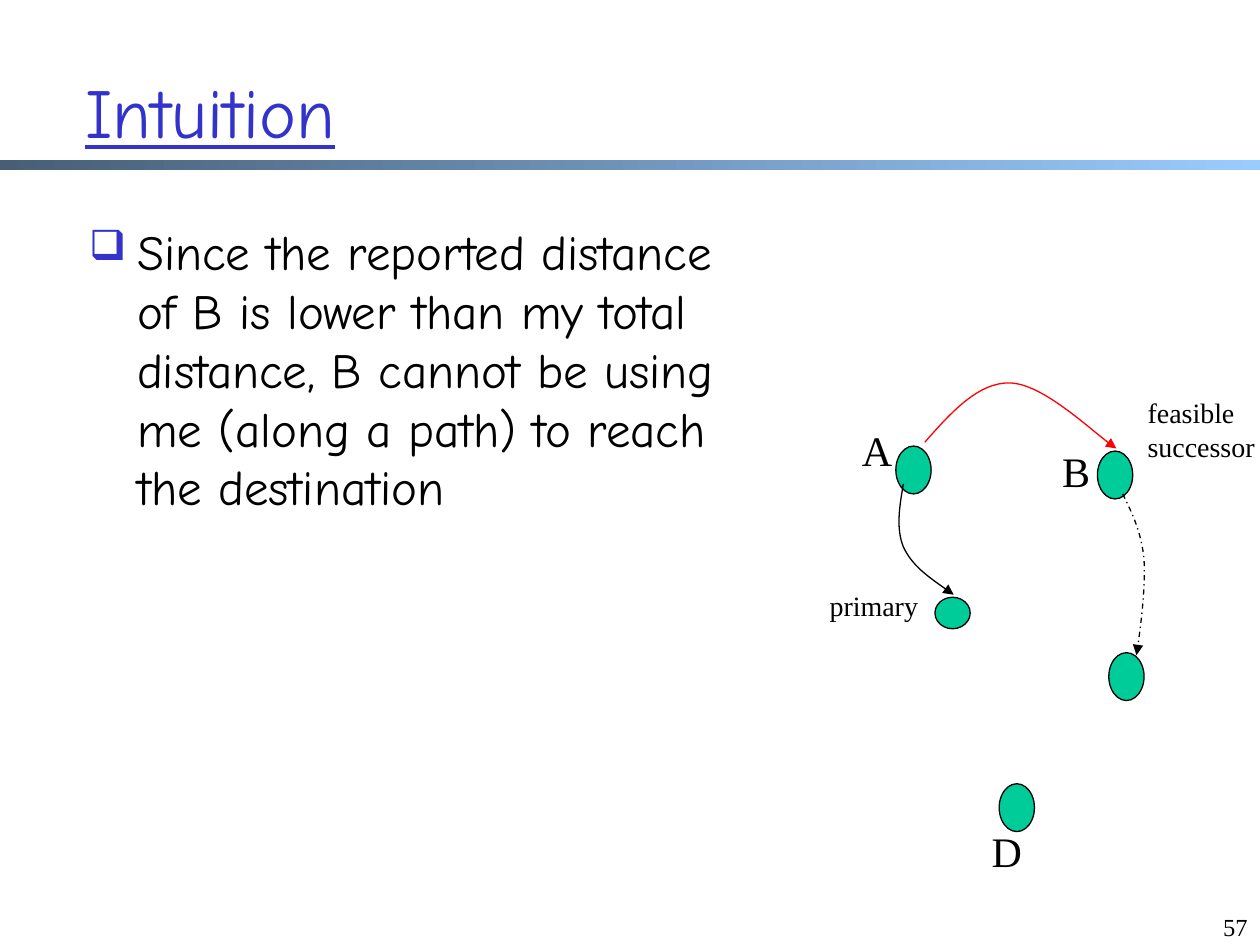
from pptx import Presentation
from pptx.dml.color import RGBColor
from pptx.enum.dml import MSO_LINE
from pptx.enum.shapes import MSO_SHAPE
from pptx.enum.text import MSO_ANCHOR, PP_ALIGN
from pptx.oxml.ns import qn
from pptx.util import Emu, Pt
from lxml import etree

PX = 9144
RECTANGLE, OVAL = MSO_SHAPE.RECTANGLE, MSO_SHAPE.OVAL
TOP, MIDDLE = MSO_ANCHOR.TOP, MSO_ANCHOR.MIDDLE
LEFT, CENTER, RIGHT = PP_ALIGN.LEFT, PP_ALIGN.CENTER, PP_ALIGN.RIGHT
DASH_DOT = MSO_LINE.DASH_DOT
HEADING_FONT, LABEL_FONT = "Comic Neue", "Times New Roman"
BLACK, BLUE, RED, GREEN = "000000", "3333CC", "FF0000", "00CC99"


def px(length):
    return Emu(length * PX)


def color(value):
    return RGBColor.from_string(value)


def add_element(parent, tag, **attributes):
    return etree.SubElement(parent, qn(tag), attributes)


def add_text(slide, box, text, size, font=LABEL_FONT, ink=BLACK,
             align=LEFT, anchor=TOP, bullet=None):
    shape = slide.shapes.add_textbox(*map(px, box))
    frame = shape.text_frame
    frame.word_wrap = True
    frame.vertical_anchor = anchor
    paragraph = frame.paragraphs[0]
    paragraph.text = text
    paragraph.alignment = align
    if bullet:
        add_bullet(paragraph, bullet)
    paragraph.font.size = Pt(size)
    paragraph.font.name = font
    paragraph.font.color.rgb = color(ink)
    return paragraph


def add_bullet(paragraph, character):
    properties = paragraph._p.get_or_add_pPr()
    indent = px(38)
    properties.set("marL", str(indent))
    properties.set("indent", str(-indent))
    add_element(add_element(properties, "a:buClr"), "a:srgbClr", val=BLUE)
    add_element(properties, "a:buSzPct", val="85000")
    add_element(properties, "a:buChar", char=character)


def add_node(slide, left, top, width=28, height=38):
    shape = slide.shapes.add_shape(OVAL, *map(px, (left, top, width, height)))
    shape.shadow.inherit = False
    shape.fill.solid()
    shape.fill.fore_color.rgb = color(GREEN)
    shape.line.color.rgb = color(BLACK)
    shape.line.width = Pt(0.75)


def add_curved_arrow(slide, left, top, points, ink=BLACK, dash=None):
    corners = [(left + x, top + y) for x, y in points]
    builder = slide.shapes.build_freeform(*corners[0], scale=PX)
    builder.add_line_segments(corners[1:], close=False)
    shape = builder.convert_to_shape()
    outline = next(shape._element.iter(qn("a:path")))
    segments = outline.findall(qn("a:lnTo"))
    for start in range(0, len(segments), 3):
        curve = add_element(outline, "a:cubicBezTo")
        for segment in segments[start:start + 3]:
            curve.append(segment[0])
            outline.remove(segment)
    shape.shadow.inherit = False
    shape.fill.background()
    shape.line.color.rgb = color(ink)
    shape.line.width = Pt(0.75)
    if dash:
        shape.line.dash_style = dash
    add_element(shape.line._get_or_add_ln(), "a:tailEnd", type="triangle")


def add_header(slide, left, top, width):
    rule = slide.shapes.add_shape(
        RECTANGLE, *map(px, (left, top + 102, width, 8)))
    rule.shadow.inherit = False
    rule.line.fill.background()
    rule.fill.gradient()
    rule.fill.gradient_angle = 0
    for stop, shade in zip(rule.fill.gradient_stops, ("475E76", "99CCFF")):
        stop.color.rgb = color(shade)
    title = add_text(slide, (left + 58, top, 878, 125), "Intuition", 40,
                     HEADING_FONT, BLUE, anchor=MIDDLE)
    title.font.underline = True


def add_body(slide, box):
    add_text(slide, box,
             "Since the reported distance of B is lower than my total distance, "
             "B cannot be using me (along a path) to reach the destination",
             28, HEADING_FONT, bullet="❑")


def add_route_diagram(slide, left, top):
    add_curved_arrow(slide, left + 100, top, [
        (0, 48), (21, 24), (43, 0), (68, 1), (93, 2), (138, 44), (152, 53)],
        RED)
    for x, y in ((77, 51), (237, 55), (246, 215), (159, 319)):
        add_node(slide, left + x, top + y)
    add_node(slide, left + 108, top + 171, height=25)
    add_curved_arrow(slide, left + 257, top + 89, [
        (0, 0), (8, 16), (15, 31), (17, 52), (18, 73), (15, 101), (11, 128)],
        dash=DASH_DOT)
    add_curved_arrow(slide, left + 77, top + 81, [
        (6, 0), (3, 18), (0, 35), (6, 50), (13, 65), (29, 76), (46, 88)])
    for name, x, y in (("A", 40, 29), ("B", 198, 46), ("D", 143, 347)):
        add_text(slide, (left + x, top + y, 44, 50), name, 24, align=CENTER)
    add_text(slide, (left + 267, top + 6, 119, 97), "feasible successor", 16)
    add_text(slide, (left, top + 159, 119, 37), "primary", 16, align=CENTER)


def main():
    presentation = Presentation()
    presentation.slide_width, presentation.slide_height = px(1000), px(750)
    slide = presentation.slides.add_slide(presentation.slide_layouts[6])
    add_header(slide, 0, 25, 1000)
    add_body(slide, (61, 171, 549, 531))
    add_text(slide, (925, 719, 75, 31), "57", 14, align=RIGHT)
    add_route_diagram(slide, 634, 303)
    presentation.save("out.pptx")


if __name__ == "__main__":
    main()
